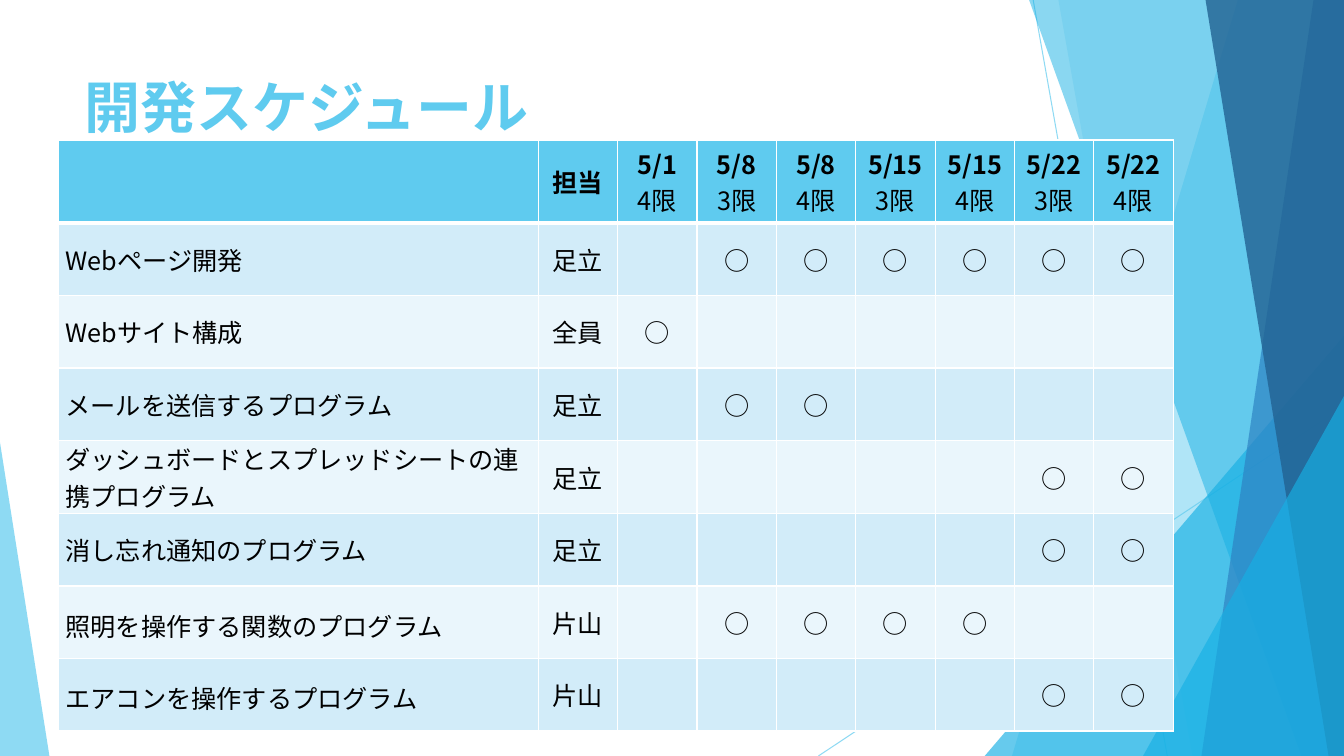
import dataclasses

import pptx
import pptx.dml.color
import pptx.enum.shapes
import pptx.enum.text
import pptx.oxml.ns
import pptx.util
from lxml import etree

TITLE = "開発スケジュール"
OWNER_HEADING = "担当"
MARK = "○"
SESSIONS = [
    ("5/1", "4限"),
    ("5/8", "3限"),
    ("5/8", "4限"),
    ("5/15", "3限"),
    ("5/15", "4限"),
    ("5/22", "3限"),
    ("5/22", "4限"),
]
TASKS = [
    ("Webページ開発", "足立", (1, 2, 3, 4, 5, 6), None),
    ("Webサイト構成", "全員", (0,), None),
    ("メールを送信するプログラム", "足立", (1, 2), None),
    ("ダッシュボードとスプレッドシートの連携プログラム", "足立", (5, 6), None),
    ("消し忘れ通知のプログラム", "足立", (5, 6), None),
    ("照明を操作する関数のプログラム", "片山", (1, 2, 3, 4), 1.15),
    ("エアコンを操作するプログラム", "片山", (5, 6), 1.15),
]


@dataclasses.dataclass(frozen=True)
class Theme:
    font: str = "Noto Sans CJK JP"
    title_size: int = 40
    table_size: int = 18
    sky: str = "5FCBEF"
    cyan: str = "17B0E4"
    blue: str = "2E83C3"
    navy: str = "226292"
    text: str = "000000"
    border: str = "FFFFFF"
    bands: tuple = ("D2ECF9", "EAF6FC")


THEME = Theme()
WIDTH, HEIGHT = 960, 540
TABLE_LEFT, TABLE_TOP = 41.8, 100
TASK_WIDTH, COLUMN_WIDTH = 342.7, 56.7
HEADER_HEIGHT, TASK_HEIGHT = 44.6, 51.8

RAYS = [((738, 0), (833.8, HEIGHT)), ((WIDTH, 290.2), (584.6, HEIGHT))]
BANDS_AND_TRIANGLES = [
    ("band", (884.2, 722.9), THEME.sky, 36),
    ("band", (756, 851.8), THEME.sky, 20),
    ("triangle", (703.4, 239.8, 256.6, 1), THEME.cyan, 66),
    ("band", (735.1, 929.5), THEME.cyan, 50),
    ("band", (938.2, 858.2), THEME.blue, 70),
    ("band", (861.1, 949), THEME.navy, 80),
    ("triangle", (816.5, 283, 143.5, 1), THEME.cyan, 66),
    ("triangle", (0, 316.1, 35.3, 0), THEME.sky, 70),
]

Pt = pptx.util.Pt
qn = pptx.oxml.ns.qn
CENTER = pptx.enum.text.PP_ALIGN.CENTER
LEFT = pptx.enum.text.PP_ALIGN.LEFT


def rgb(color):
    return pptx.dml.color.RGBColor.from_string(color)


def set_alpha(properties, percent):
    color = next(properties.iter(qn("a:srgbClr")))
    etree.SubElement(color, qn("a:alpha"), val=str(percent * 1000))


def add_ray(slide, start, end):
    ray = slide.shapes.add_connector(
        pptx.enum.shapes.MSO_CONNECTOR.STRAIGHT, *map(Pt, start + end))
    ray.line.color.rgb = rgb(THEME.sky)
    ray.line.width = Pt(0.75)
    properties = ray._element.spPr
    set_alpha(properties, 70)
    etree.SubElement(properties, qn("a:effectLst"))


def add_band(slide, top_x, bottom_x):
    outline = slide.shapes.build_freeform(Pt(top_x), 0)
    outline.add_line_segments(
        [(Pt(x), Pt(y)) for x, y in ((WIDTH, 0), (WIDTH, HEIGHT), (bottom_x, HEIGHT))])
    return outline.convert_to_shape()


def add_triangle(slide, left, top, width, apex):
    triangle = slide.shapes.add_shape(
        pptx.enum.shapes.MSO_SHAPE.ISOSCELES_TRIANGLE,
        Pt(left), Pt(top), Pt(width), Pt(HEIGHT - top))
    triangle.adjustments[0] = apex
    return triangle


def add_background(slide):
    builders = {"band": add_band, "triangle": add_triangle}
    for start, end in RAYS:
        add_ray(slide, start, end)
    for kind, geometry, color, alpha in BANDS_AND_TRIANGLES:
        facet = builders[kind](slide, *geometry)
        facet.shadow.inherit = False
        facet.fill.solid()
        facet.fill.fore_color.rgb = rgb(color)
        set_alpha(facet._element.spPr, alpha)
        facet.line.fill.background()


def format_text(paragraph, size, color, bold, alignment):
    paragraph.alignment = alignment
    for run in paragraph.runs:
        run.font.size = Pt(size)
        run.font.bold = bold
        run.font.color.rgb = rgb(color)
        run.font.name = THEME.font
        etree.SubElement(run.font._element, qn("a:ea"), typeface=THEME.font)


def add_title(slide):
    title = slide.shapes.title
    title.left, title.top, title.width, title.height = map(Pt, (53.3, 48.2, 676.8, 103.7))
    frame = title.text_frame
    frame.text = TITLE
    frame.word_wrap = True
    frame.auto_size = pptx.enum.text.MSO_AUTO_SIZE.NONE
    frame.vertical_anchor = pptx.enum.text.MSO_ANCHOR.TOP
    format_text(frame.paragraphs[0], THEME.title_size, THEME.sky, True, LEFT)


def format_cell(cell, fill, top, bottom):
    cell.vertical_anchor = pptx.enum.text.MSO_ANCHOR.MIDDLE
    properties = cell._tc.get_or_add_tcPr()
    for side, width in (("L", 1), ("R", 1), ("T", top), ("B", bottom)):
        border = etree.SubElement(properties, qn(f"a:ln{side}"), w=str(Pt(width)))
        solid = etree.SubElement(border, qn("a:solidFill"))
        etree.SubElement(solid, qn("a:srgbClr"), val=THEME.border)
    cell.fill.solid()
    cell.fill.fore_color.rgb = rgb(fill)


def add_schedule(slide):
    columns = 2 + len(SESSIONS)
    schedule = slide.shapes.add_table(
        1 + len(TASKS), columns, Pt(TABLE_LEFT), Pt(TABLE_TOP),
        Pt(TASK_WIDTH + COLUMN_WIDTH * (columns - 1)),
        Pt(HEADER_HEIGHT + TASK_HEIGHT * len(TASKS))).table
    for index, column in enumerate(schedule.columns):
        column.width = Pt(COLUMN_WIDTH if index else TASK_WIDTH)
    for index, row in enumerate(schedule.rows):
        row.height = Pt(TASK_HEIGHT if index else HEADER_HEIGHT)

    headings = ["", OWNER_HEADING] + ["\n".join(session) for session in SESSIONS]
    for column, heading in enumerate(headings):
        cell = schedule.cell(0, column)
        format_cell(cell, THEME.sky, 1, 3)
        cell.text_frame.text = heading
        for line, paragraph in enumerate(cell.text_frame.paragraphs):
            format_text(paragraph, THEME.table_size, THEME.text, line == 0, CENTER)

    for row, (task, owner, marked, spacing) in enumerate(TASKS, 1):
        marks = [MARK if index in marked else "" for index in range(len(SESSIONS))]
        for column, content in enumerate([task, owner] + marks):
            cell = schedule.cell(row, column)
            format_cell(cell, THEME.bands[(row - 1) % 2], 3 if row == 1 else 1, 1)
            cell.text_frame.text = content
            paragraph = cell.text_frame.paragraphs[0]
            format_text(paragraph, THEME.table_size, THEME.text, False,
                        CENTER if column else LEFT)
            if column == 0:
                cell.margin_left = cell.margin_right = Pt(5)
                cell.margin_top = cell.margin_bottom = 0
                if spacing:
                    paragraph.line_spacing = spacing


def main():
    presentation = pptx.Presentation()
    presentation.slide_width, presentation.slide_height = Pt(WIDTH), Pt(HEIGHT)
    slide = presentation.slides.add_slide(presentation.slide_layouts[5])
    add_background(slide)
    add_title(slide)
    add_schedule(slide)
    presentation.save("out.pptx")


if __name__ == "__main__":
    main()
